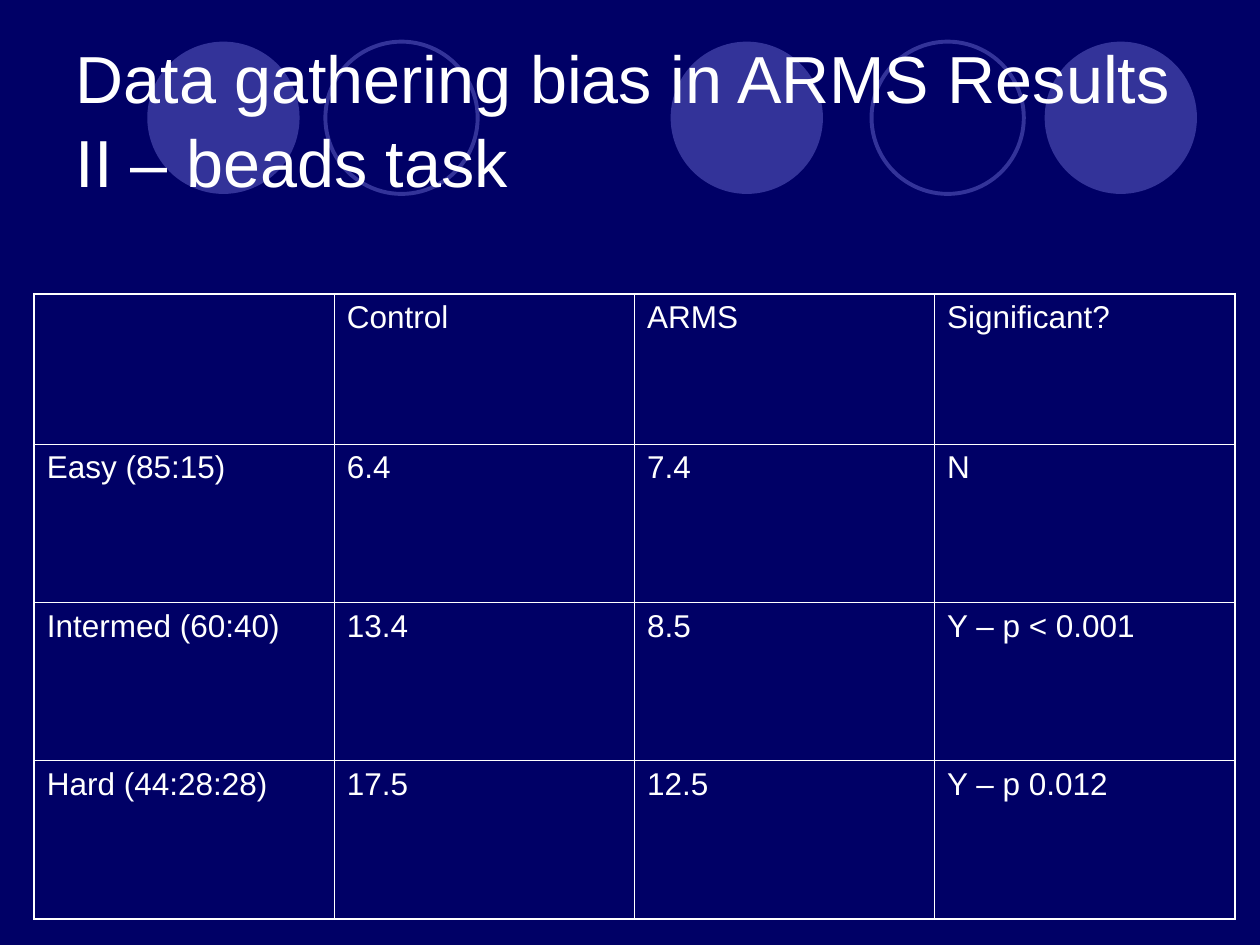
from lxml.etree import SubElement
from pptx import Presentation
from pptx.dml.color import RGBColor
from pptx.enum.shapes import MSO_SHAPE
from pptx.enum.text import MSO_ANCHOR, MSO_AUTO_SIZE, PP_ALIGN
from pptx.oxml.ns import qn
from pptx.util import Cm, Pt

NAVY = RGBColor(0x00, 0x00, 0x66)
INDIGO = RGBColor(0x33, 0x33, 0x99)
WHITE = RGBColor(0xFF, 0xFF, 0xFF)
FONT = "Arial"

TITLE = "Data gathering bias in ARMS Results II – beads task"
ROWS = [
    ("", "Control", "ARMS", "Significant?"),
    ("Easy (85:15)", "6.4", "7.4", "N"),
    ("Intermed (60:40)", "13.4", "8.5", "Y – p < 0.001"),
    ("Hard (44:28:28)", "17.5", "12.5", "Y – p 0.012"),
]
CIRCLES = [  # left edge in cm, filled
    (2.97, True),
    (6.56, False),
    (13.52, True),
    (17.57, False),
    (21.06, True),
]
CIRCLE_TOP, CIRCLE_SIZE = Cm(0.84), Cm(3.07)
TABLE_LEFT, TABLE_TOP = Cm(0.69), Cm(5.92)
COL_WIDTH, HEADER_HEIGHT, ROW_HEIGHT = Cm(6.05), Cm(3.03), Cm(3.19)
OUTER_LINE, INNER_LINE = Pt(1.08), Pt(0.45)


def set_font(p, size):
    p.font.name = FONT
    p.font.size = Pt(size)
    p.font.color.rgb = WHITE


def add_circle(slide, left, filled):
    sp = slide.shapes.add_shape(
        MSO_SHAPE.OVAL, Cm(left), CIRCLE_TOP, CIRCLE_SIZE, CIRCLE_SIZE)
    sp.shadow.inherit = False
    if filled:
        sp.fill.solid()
        sp.fill.fore_color.rgb = INDIGO
        sp.line.fill.background()
    else:
        sp.fill.background()
        sp.line.color.rgb = INDIGO
        sp.line.width = Pt(2.25)


def set_borders(cell, outer_sides):
    """Draw all four borders, heavier where the cell meets the table's edge."""
    tc_pr = cell._tc.get_or_add_tcPr()
    for side, outer in outer_sides.items():
        width = OUTER_LINE if outer else INNER_LINE
        ln = SubElement(tc_pr, qn(f"a:ln{side}"), w=str(width))
        fill = SubElement(ln, qn("a:solidFill"))
        SubElement(fill, qn("a:srgbClr"), val=str(WHITE))


def add_title(slide):
    title = slide.shapes.title
    title.left, title.top = Cm(1.27), Cm(0.76)
    title.width, title.height = Cm(22.86), Cm(3.18)
    tf = title.text_frame
    tf.text = TITLE
    tf.word_wrap = True
    tf.auto_size = MSO_AUTO_SIZE.NONE
    tf.vertical_anchor = MSO_ANCHOR.MIDDLE
    p = tf.paragraphs[0]
    p.alignment = PP_ALIGN.LEFT
    p.line_spacing = 1.05
    set_font(p, 38)
    # Bring the title in front of the circles
    slide.shapes._spTree.append(title._element)


def add_results_table(slide):
    n_rows, n_cols = len(ROWS), len(ROWS[0])
    height = HEADER_HEIGHT + ROW_HEIGHT * (n_rows - 1)
    table = slide.shapes.add_table(
        n_rows, n_cols, TABLE_LEFT, TABLE_TOP, COL_WIDTH * n_cols, height).table
    table.first_row = table.horz_banding = False
    for column in table.columns:
        column.width = COL_WIDTH
    for r, values in enumerate(ROWS):
        table.rows[r].height = ROW_HEIGHT if r else HEADER_HEIGHT
        for c, value in enumerate(values):
            cell = table.cell(r, c)
            cell.text = value
            set_font(cell.text_frame.paragraphs[0], 18)
            set_borders(cell, {"L": c == 0, "R": c == n_cols - 1,
                               "T": r == 0, "B": r == n_rows - 1})
            cell.fill.background()


def main():
    prs = Presentation()
    prs.slide_width, prs.slide_height = Cm(25.4), Cm(19.05)
    slide = prs.slides.add_slide(prs.slide_layouts.get_by_name("Title Only"))
    slide.background.fill.solid()
    slide.background.fill.fore_color.rgb = NAVY
    for left, filled in CIRCLES:
        add_circle(slide, left, filled)
    add_title(slide)
    add_results_table(slide)
    prs.save("out.pptx")


if __name__ == "__main__":
    main()
